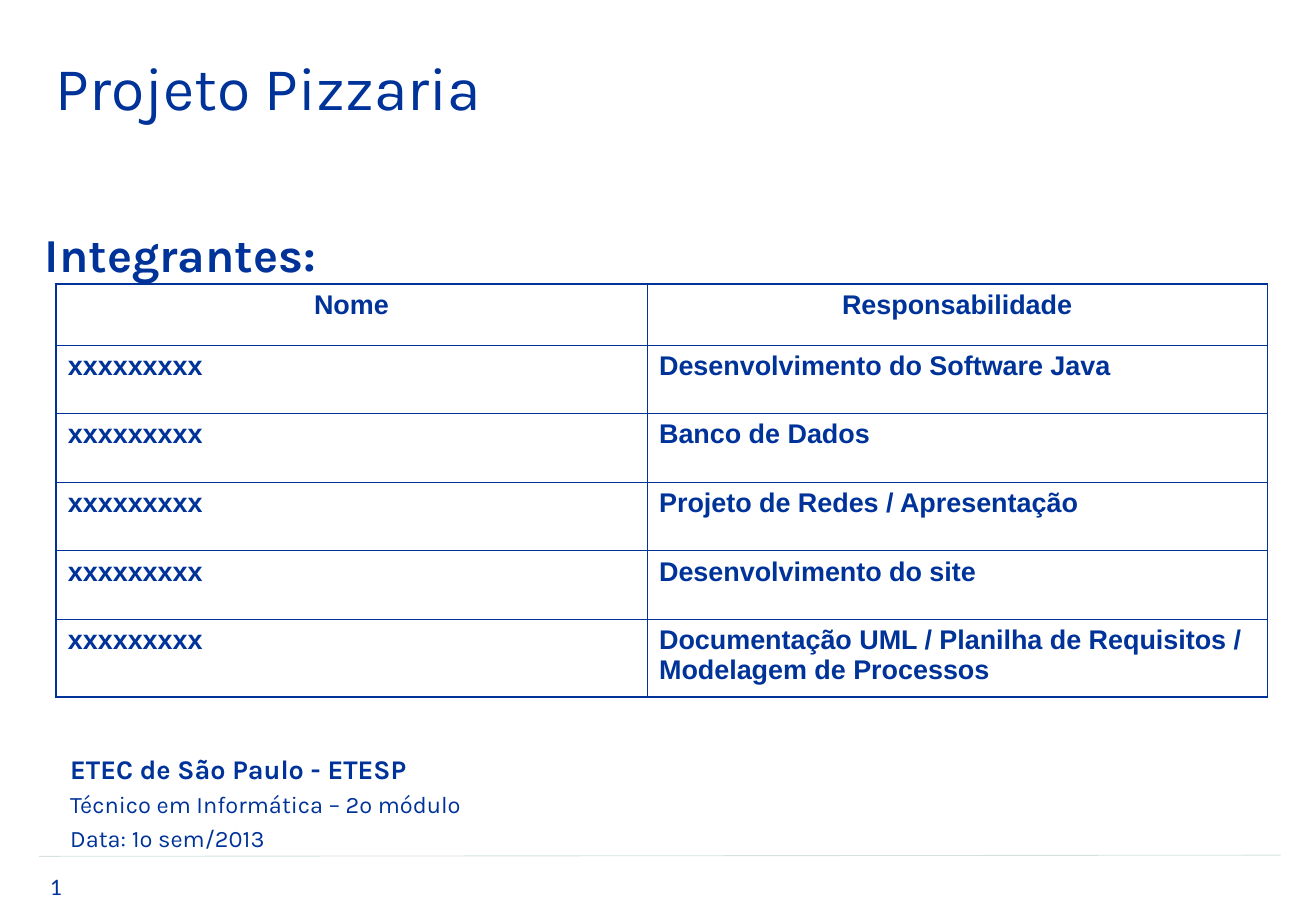
from dataclasses import dataclass

from lxml import etree
from pptx import Presentation, util as u
from pptx.dml.color import RGBColor
from pptx.enum import shapes, text
from pptx.oxml import ns, parse_xml

COLORS = {"navy": "003399", "rule": "D5E1E1", "shadow": "A0A0A0"}
THIN, THICK = 0.45, 1.08
LEFT, CENTER = text.PP_ALIGN.LEFT, text.PP_ALIGN.CENTER
A = f'xmlns:a="{ns.nsdecls("a").split(chr(34))[1]}"'

prs = Presentation()
prs.slide_width, prs.slide_height = u.Inches(10.84), u.Inches(7.5)


def x(percent: float) -> int:
    return round(prs.slide_width * percent / 100)


def y(percent: float) -> int:
    return round(prs.slide_height * percent / 100)


@dataclass
class Line:
    words: str
    size: float
    bold: bool = False
    font: str = "Karla"
    align: text.PP_ALIGN = LEFT
    spacing: float = 1.0


@dataclass
class Block:
    left: float
    top: float
    width: float
    height: float
    lines: list[Line]


def write(tf, lines: list[Line]) -> None:
    for i, line in enumerate(lines):
        p = tf.add_paragraph() if i else tf.paragraphs[0]
        p.alignment, p.line_spacing = line.align, line.spacing
        p.space_before = u.Pt(0)
        r = p.add_run()
        r.text = line.words
        r.font.size, r.font.bold, r.font.name = u.Pt(line.size), line.bold, line.font
        r.font.color.rgb = RGBColor.from_string(COLORS["navy"])


def place(sp, block: Block) -> None:
    sp.left, sp.top = x(block.left), y(block.top)
    sp.width, sp.height = x(block.width), y(block.height)
    tf = sp.text_frame
    tf.word_wrap = True
    tf.auto_size = text.MSO_AUTO_SIZE.NONE
    tf.vertical_anchor = text.MSO_ANCHOR.TOP
    write(tf, block.lines)


def add_block(s, block: Block):
    sp = s.shapes.add_textbox(0, 0, 0, 0)
    place(sp, block)
    return sp


def set_borders(cell, widths: dict[str, float]) -> None:
    tc_pr = cell._tc.get_or_add_tcPr()
    for i, (side, width) in enumerate(widths.items()):
        tc_pr.insert(i, parse_xml(
            f'<a:ln{side} {A} w="{u.Pt(width)}"><a:solidFill>'
            f'<a:srgbClr val="{COLORS["navy"]}"/></a:solidFill></a:ln{side}>'))


def add_members(s, rows: list[tuple[str, str]]) -> None:
    widths = [44.93, 47.14]
    heights = [6.67] + [7.53] * (len(rows) - 2) + [8.53]
    frame = s.shapes.add_table(len(rows), len(widths), x(4.24), y(31.2),
                               x(sum(widths)), y(sum(heights)))
    table = frame.table
    table.first_row = table.horz_banding = False
    for column, width in zip(table.columns, widths):
        column.width = x(width)
    for i, (row, height) in enumerate(zip(rows, heights)):
        table.rows[i].height = y(height)
        for j, words in enumerate(row):
            cell = table.cell(i, j)
            cell.fill.background()
            set_borders(cell, {
                "L": THIN if j else THICK,
                "R": THICK if j else THIN,
                "T": THIN if i else THICK,
                "B": THICK if i == len(rows) - 1 else THIN,
            })
            write(cell.text_frame, [Line(words, 16, True, "Arial", LEFT if i else CENTER)])


def add_rule(s) -> None:
    rule = s.shapes.add_connector(shapes.MSO_CONNECTOR.STRAIGHT,
                                  x(2.95), y(94), x(97.32), y(93.87))
    rule.line.color.rgb = RGBColor.from_string(COLORS["rule"])
    rule.line.width = u.Pt(0.5)
    etree.SubElement(rule._element.spPr, ns.qn("a:effectLst"))


def add_text_shadow(sp) -> None:
    fill = sp.text_frame.paragraphs[0].runs[0].font._element.find(ns.qn("a:solidFill"))
    fill.addnext(parse_xml(
        f'<a:effectLst {A}><a:outerShdw dist="17961" dir="2700000">'
        f'<a:srgbClr val="{COLORS["shadow"]}"/></a:outerShdw></a:effectLst>'))


TITLE = Block(3.32, 4.8, 78.97, 9.33, [Line("Projeto Pizzaria", 36)])
HEADING = Block(2.49, 22.8, 24.82, 8.8, [Line("Integrantes:", 28, True, spacing=1.2)])
COURSE = Block(4.43, 81.2, 34.78, 13.07, [
    Line("ETEC de São Paulo - ETESP", 16, True, spacing=1.2),
    Line("Técnico em Informática – 2º módulo", 14, spacing=1.2),
    Line("Data: 1º sem/2013", 14, spacing=1.2),
])
PAGE = Block(2.21, 95.07, 4.06, 4.53, [Line("1", 14, font="Calibri", align=CENTER)])
MEMBER = "xxxxxxxxx"
DUTIES = [
    "Desenvolvimento do Software Java",
    "Banco de Dados",
    "Projeto de Redes / Apresentação",
    "Desenvolvimento do site",
    "Documentação UML / Planilha de Requisitos / Modelagem de Processos",
]


def main() -> None:
    s = prs.slides.add_slide(prs.slide_layouts[5])
    place(s.shapes.title, TITLE)
    add_block(s, HEADING)
    add_members(s, [("Nome", "Responsabilidade")] + [(MEMBER, duty) for duty in DUTIES])
    add_block(s, COURSE)
    add_rule(s)
    add_text_shadow(add_block(s, PAGE))
    prs.save("out.pptx")


if __name__ == "__main__":
    main()
